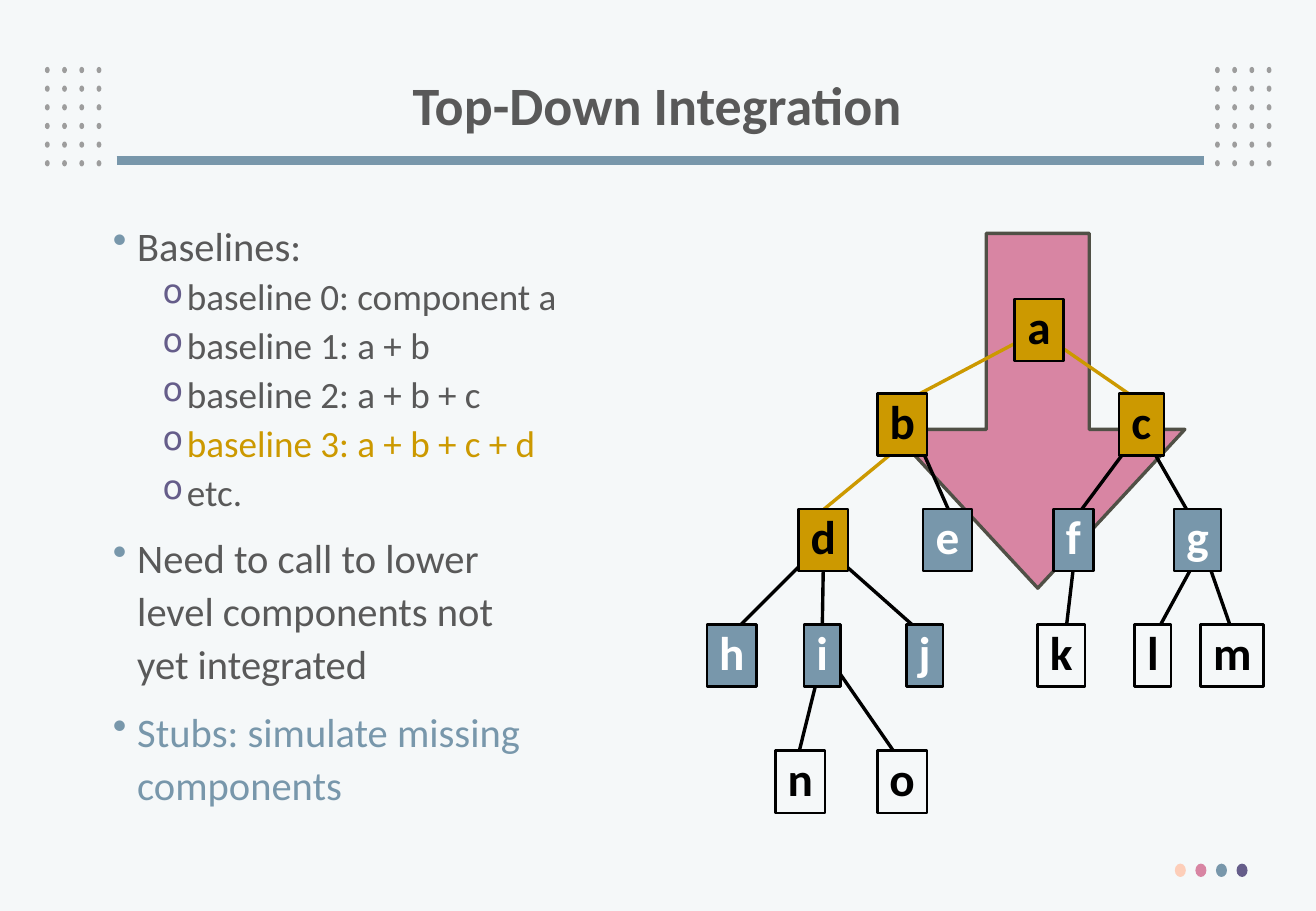
from lxml.etree import SubElement
from pptx import Presentation
from pptx.dml.color import RGBColor
from pptx.enum.shapes import MSO_CONNECTOR, MSO_SHAPE
from pptx.enum.text import MSO_ANCHOR, PP_ALIGN
from pptx.oxml.ns import qn
from pptx.util import Cm, Pt

FONT = "Calibri"
PAPER, BLACK, WHITE = "F5F8F9", "000000", "FFFFFF"
GREY, GOLD, BLUE, PINK, PURPLE = "595959", "CC9900", "7897AB", "D885A3", "655D8A"

BULLETS = [
    (0, "Baselines:", GREY),
    (1, "baseline 0: component a", GREY),
    (1, "baseline 1: a + b", GREY),
    (1, "baseline 2: a + b + c", GREY),
    (1, "baseline 3: a + b + c + d", GOLD),
    (1, "etc.", GREY),
    (0, "Need to call to lower\nlevel components not\nyet integrated", GREY),
    (0, "Stubs: simulate missing\ncomponents", BLUE),
]
LEVELS = [("•", BLUE, 100, 0.51, 24, 8.1), ("o", PURPLE, 90, 1.55, 22, 0)]

BOX_HEIGHT = 1.3
TREE_ROWS = [
    (1.37, [("a", 6.43, 1.02)]),
    (3.35, [("b", 3.56, 1.04), ("c", 8.61, 0.94)]),
    (5.76, [("d", 1.91, 1.04), ("e", 4.52, 1.02), ("f", 7.24, 0.84), ("g", 9.76, 0.99)]),
    (8.18, [("h", 0, 1.04), ("i", 2.03, 0.76), ("j", 4.17, 0.76),
            ("k", 6.91, 0.99), ("l", 8.94, 0.76), ("m", 10.32, 1.32)]),
    (10.82, [("n", 1.43, 1.04), ("o", 3.56, 1.04)]),
]
BRANCHES = [
    (4.47, 4.47, 5.11, 5.92, BLACK),
    (9.12, 4.04, 7.72, 5.92, BLACK),
    (9.1, 4.16, 10.11, 5.92, BLACK),
    (10.19, 6.88, 9.4, 8.33, BLACK),
    (10.37, 6.58, 11.05, 8.53, BLACK),
    (7.7, 6.63, 7.5, 8.33, BLACK),
    (2.39, 6.5, 0.43, 8.46, BLACK),
    (2.82, 6.88, 4.6, 8.46, BLACK),
    (2.42, 8.84, 1.88, 11.02, BLACK),
    (2.49, 8.79, 4.09, 11.1, BLACK),
    (6.76, 2.13, 4.17, 3.5, GOLD),
    (7.04, 2.13, 9.1, 3.55, GOLD),
    (4.02, 4.47, 2.26, 5.92, GOLD),
]


def color(value):
    """Turn a hex string into a colour."""
    return RGBColor.from_string(value)


def add_figure(slide, kind, left, top, width, height, fill, line=None, weight=1.5):
    """Add a flat preset shape, outlined if a line colour is given."""
    shape = slide.shapes.add_shape(kind, Cm(left), Cm(top), Cm(width), Cm(height))
    shape.shadow.inherit = False
    shape.fill.solid()
    shape.fill.fore_color.rgb = color(fill)
    if line:
        shape.line.color.rgb = color(line)
        shape.line.width = Pt(weight)
    else:
        shape.line.fill.background()
    return shape


def add_line(slide, start_x, start_y, end_x, end_y, stroke, weight=2):
    """Add a straight connector without shadow."""
    connector = slide.shapes.add_connector(
        MSO_CONNECTOR.STRAIGHT, Cm(start_x), Cm(start_y), Cm(end_x), Cm(end_y))
    connector.line.color.rgb = color(stroke)
    connector.line.width = Pt(weight)
    SubElement(connector._element.spPr, qn("a:effectLst"))
    return connector


def style_text(paragraph, size, ink, spacing, bold=False):
    """Set the font and line spacing of a paragraph."""
    paragraph.font.name = FONT
    paragraph.font.size = Pt(size)
    paragraph.font.bold = bold
    paragraph.font.color.rgb = color(ink)
    paragraph.line_spacing = spacing


def add_dot_grid(slide, left, top):
    """Draw a decorative grid of six rows and four columns of dots."""
    for row in range(6):
        for column in range(4):
            add_figure(slide, MSO_SHAPE.OVAL, left + column * 0.36, top + row * 0.39,
                       0.1, 0.13, "9D9D9D")


def add_accent_dots(slide, left, top):
    """Draw the row of coloured dots in the corner."""
    for index, fill in enumerate(["FDCEB9", PINK, BLUE, PURPLE]):
        add_figure(slide, MSO_SHAPE.OVAL, left + index * 0.43, top, 0.23, 0.28, fill)


def add_header(slide, left, top, width, height):
    """Place the title with its rule and the dot grids at both sides."""
    add_dot_grid(slide, left - 0.94, top + 0.38)
    add_dot_grid(slide, left + width - 0.2, top + 0.38)
    add_line(slide, left + 0.56, top + 2.33, left + width - 0.43, top + 2.33, BLUE, 5.25)
    title = slide.shapes.title
    title.left, title.top, title.width, title.height = Cm(left), Cm(top), Cm(width), Cm(height)
    title.text_frame.text = "Top-Down Integration"
    title.text_frame.vertical_anchor = MSO_ANCHOR.MIDDLE
    paragraph = title.text_frame.paragraphs[0]
    paragraph.alignment = PP_ALIGN.CENTER
    style_text(paragraph, 32, GREY, 0.9, bold=True)


def set_bullet(paragraph, symbol, ink, percent, indent):
    """Give a paragraph a coloured bullet and a hanging indent."""
    properties = paragraph._p.get_or_add_pPr()
    properties.set("marL", str(Cm(indent)))
    properties.set("indent", str(-Cm(0.51)))
    bullet_color = SubElement(properties, qn("a:buClr"))
    SubElement(bullet_color, qn("a:srgbClr"), val=ink)
    SubElement(properties, qn("a:buSzPct"), val=str(percent * 1000))
    SubElement(properties, qn("a:buChar"), char=symbol)


def add_bullet_list(slide, left, top, width, height):
    """Write the two-level list of baselines and stubs."""
    frame = slide.shapes.add_textbox(Cm(left), Cm(top), Cm(width), Cm(height)).text_frame
    frame.word_wrap = True
    for index, (level, text, ink) in enumerate(BULLETS):
        symbol, bullet_ink, percent, indent, size, space = LEVELS[level]
        paragraph = frame.add_paragraph() if index else frame.paragraphs[0]
        paragraph.text = text
        paragraph.level = level
        paragraph.space_before = Pt(space)
        style_text(paragraph, size, ink, 1.1)
        set_bullet(paragraph, symbol, bullet_ink, percent, indent)


def add_component(slide, name, left, top, width):
    """Draw one component, coloured as integrated, stubbed or pending."""
    if name in "abcd":
        fill, ink = GOLD, BLACK
    elif name in "efghij":
        fill, ink = BLUE, WHITE
    else:
        fill, ink = PAPER, BLACK
    shape = add_figure(slide, MSO_SHAPE.RECTANGLE, left, top, width, BOX_HEIGHT, fill, BLACK)
    frame = shape.text_frame
    frame.word_wrap = False
    frame.vertical_anchor = MSO_ANCHOR.MIDDLE
    frame.text = name
    paragraph = frame.paragraphs[0]
    paragraph.alignment = PP_ALIGN.CENTER
    style_text(paragraph, 28, ink, 0.85, bold=True)
    return shape


def add_component_tree(slide, left, top):
    """Draw the component tree over the arrow that shows its direction."""
    arrow = add_figure(slide, MSO_SHAPE.DOWN_ARROW, left + 3.84, top, 6.15, 7.42,
                       PINK, "505046", 2)
    arrow.adjustments[0], arrow.adjustments[1] = 0.35, 0.54
    for start_x, start_y, end_x, end_y, stroke in BRANCHES:
        add_line(slide, left + start_x, top + start_y, left + end_x, top + end_y, stroke)
    components = {
        name: add_component(slide, name, left + offset, top + row_top, width)
        for row_top, row in TREE_ROWS
        for name, offset, width in row
    }
    trunk = add_line(slide, left, top, left, top, BLACK)
    trunk.begin_connect(components["d"], 2)
    trunk.end_connect(components["i"], 0)


def main():
    """Build and save the slide."""
    presentation = Presentation()
    presentation.slide_width, presentation.slide_height = Cm(27.51), Cm(19.05)
    slide = presentation.slides.add_slide(presentation.slide_layouts[5])
    slide.background.fill.solid()
    slide.background.fill.fore_color.rgb = color(PAPER)
    add_header(slide, 1.88, 1.02, 23.72, 2.49)
    add_accent_dots(slide, 24.56, 18.06)
    add_bullet_list(slide, 2.11, 4.39, 12, 12.78)
    add_component_tree(slide, 14.78, 4.88)
    presentation.save("out.pptx")


if __name__ == "__main__":
    main()
